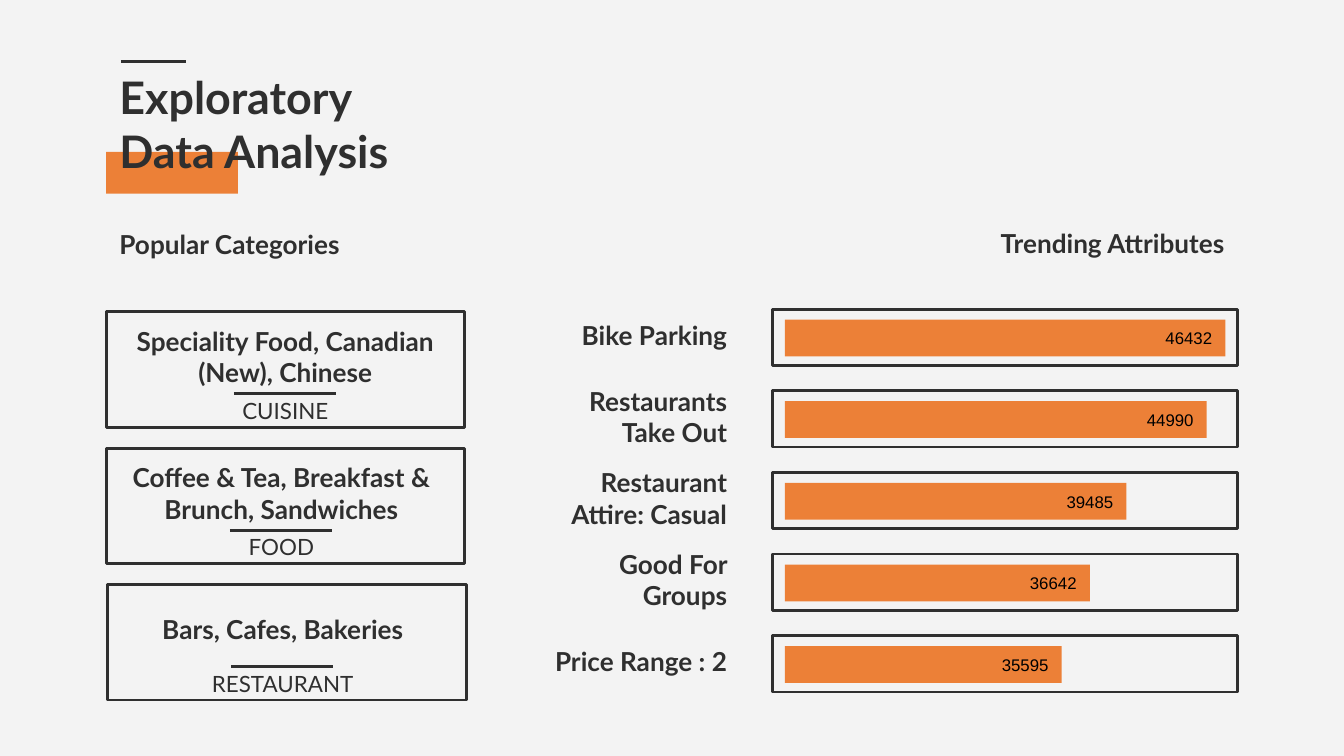
from pptx import Presentation
from pptx.util import Pt
from pptx.dml.color import RGBColor
from pptx.enum.shapes import MSO_SHAPE as Kind, MSO_CONNECTOR as Link
from pptx.enum.text import PP_ALIGN as Align, MSO_ANCHOR as Anchor
from pptx.oxml.ns import qn
from lxml.etree import SubElement
from dataclasses import dataclass

TITLE = "Exploratory Data Analysis"
HEADS = [
    ("Popular Categories", (56.9, 116.6, 135.4, 28), Align.LEFT),
    ("Trending Attributes", (501.8, 115.2, 161.3, 30.2), Align.RIGHT),
]
# (wording, caption, card left, text centre)
CARDS = [
    ("Speciality Food, Canadian (New), Chinese", "CUISINE", 56.9, 152.9),
    ("Coffee & Tea, Breakfast & Brunch, Sandwiches", "FOOD", 56.9, 150.8),
    ("Bars, Cafes, Bakeries", "RESTAURANT", 57.6, 151.5),
]
TRENDS = [
    ("Bike Parking", 46432, 236),
    ("Restaurants Take Out", 44990, 226),
    ("Restaurant Attire: Casual", 39485, 183),
    ("Good For Groups", 36642, 163.4),
    ("Price Range : 2", 35595, 148.3),
]


@dataclass
class Theme:
    back: str = "F3F3F3"
    ink: str = "2F2F2F"
    warm: str = "EC8037"
    black: str = "000000"
    face: str = "Lato"
    plain: str = "Arial"
    title: int = 24
    head: int = 14
    small: int = 12
    value: int = 9
    line: float = 1.5


theme = Theme()


def rgb(code):
    return RGBColor.from_string(code)


def write(shape, text, size, align, bold=True, face=theme.face,
          ink=theme.ink, anchor=Anchor.MIDDLE, top=7.2):
    frame = shape.text_frame
    frame.word_wrap = True
    frame.vertical_anchor = anchor
    frame.margin_left = frame.margin_right = frame.margin_bottom = Pt(7.2)
    frame.margin_top = Pt(top)
    para = frame.paragraphs[0]
    para.text, para.alignment = text, align
    font = para.font
    font.name, font.size, font.bold = face, Pt(size), bold
    font.color.rgb = rgb(ink)


def label(slide, area, text, size, align, **more):
    write(slide.shapes.add_textbox(*map(Pt, area)), text, size, align, **more)


def block(slide, area, fill=None):
    shape = slide.shapes.add_shape(Kind.RECTANGLE, *map(Pt, area))
    shape.shadow.inherit = False
    if fill:
        shape.fill.solid()
        shape.fill.fore_color.rgb = rgb(fill)
        shape.line.fill.background()
    else:
        shape.fill.background()
        shape.line.color.rgb = rgb(theme.ink)
        shape.line.width = Pt(theme.line)
    return shape


def rule(slide, left, top, width):
    line = slide.shapes.add_connector(
        Link.STRAIGHT, Pt(left), Pt(top), Pt(left + width), Pt(top))
    line.line.color.rgb = rgb(theme.ink)
    line.line.width = Pt(theme.line)
    SubElement(line._element.spPr, qn("a:effectLst"))


def header(slide):
    block(slide, (56.9, 81.4, 70.6, 22.3), theme.warm)
    rule(slide, 64.8, 33.1, 34.6)
    label(slide, (56.9, 30.2, 190, 74.2), TITLE, theme.title, Align.LEFT,
          anchor=Anchor.TOP)
    for text, area, align in HEADS:
        label(slide, area, text, theme.head, align)


def cards(slide):
    for i, (text, note, left, mid) in enumerate(CARDS):
        top = 167 + 73.1 * i
        block(slide, (left, top, 192.2, 61.9))
        label(slide, (mid - 95.4, top + 9.2, 190.8, 29.5), text,
              theme.head, Align.CENTER)
        label(slide, (mid - 45.7, top + 38.5, 91.4, 20.2), note,
              theme.small, Align.CENTER, bold=False, anchor=Anchor.TOP)
        rule(slide, mid - 27.6, top + 44, 54.7)


def trends(slide):
    for i, (text, value, width) in enumerate(TRENDS):
        top = 165.6 + 43.75 * i
        label(slide, (285.8, top + 1.2, 110.9, 28), text,
              theme.head, Align.RIGHT, top=4.3)
        block(slide, (414, top, 249.1, 30.2))
        bar = block(slide, (420.5, top + 5.6, width, 19.7), theme.warm)
        write(bar, str(value), theme.value, Align.RIGHT, bold=False,
              face=theme.plain, ink=theme.black)


def main():
    """Build the slide of popular categories and trending attributes."""
    deck = Presentation()
    deck.slide_width, deck.slide_height = Pt(720), Pt(405)
    slide = deck.slides.add_slide(deck.slide_layouts[6])
    slide.background.fill.solid()
    slide.background.fill.fore_color.rgb = rgb(theme.back)
    header(slide)
    cards(slide)
    trends(slide)
    deck.save("out.pptx")


if __name__ == "__main__":
    main()
